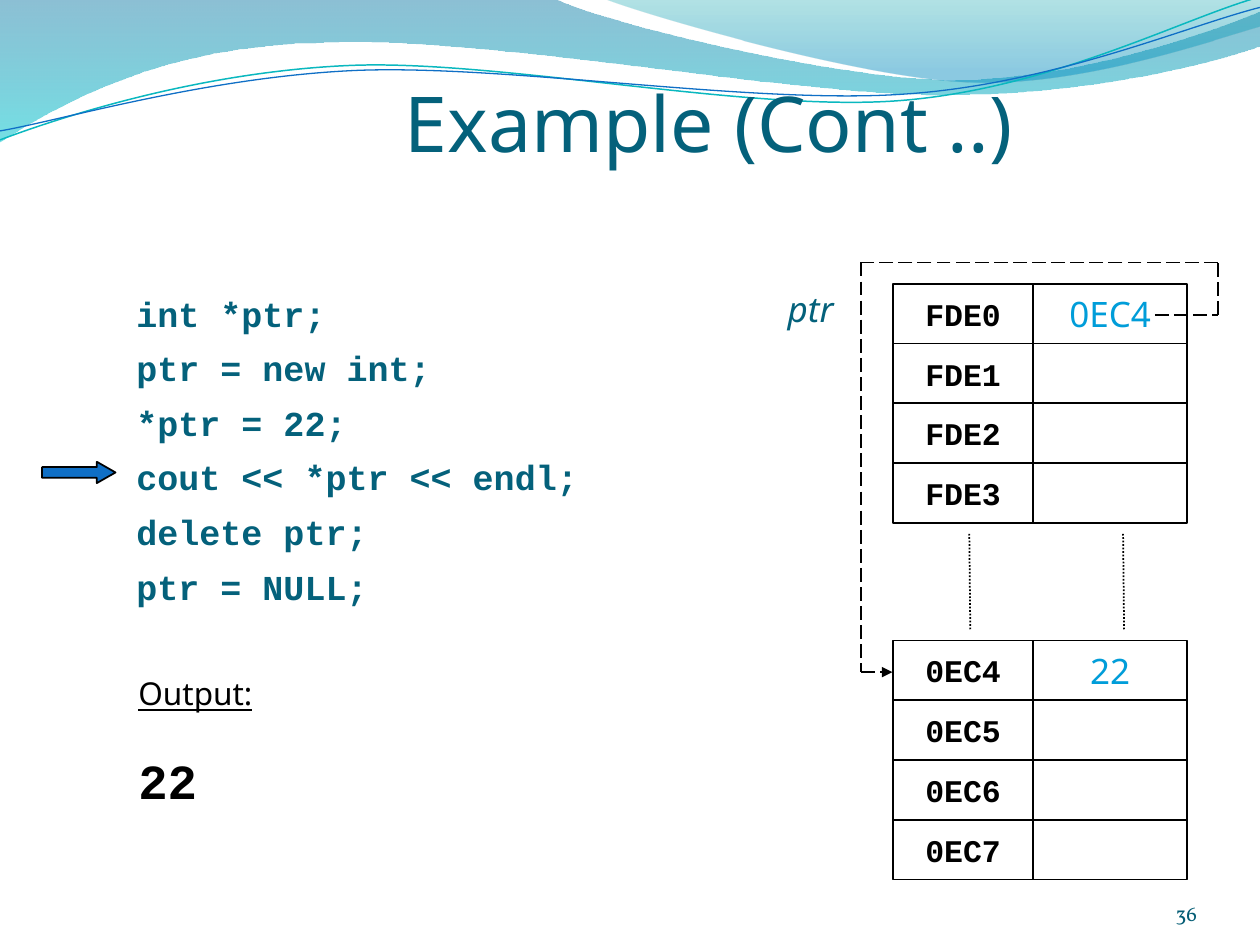
import math

import pptx
import pptx.dml.color
import pptx.enum.dml
import pptx.enum.shapes
import pptx.enum.text
import pptx.oxml
import pptx.oxml.ns
import pptx.util

Cm = pptx.util.Cm
Pt = pptx.util.Pt
RGBColor = pptx.dml.color.RGBColor
Shape = pptx.enum.shapes.MSO_SHAPE
Dash = pptx.enum.dml.MSO_LINE
Align = pptx.enum.text.PP_ALIGN
Anchor = pptx.enum.text.MSO_ANCHOR
NAMESPACE = pptx.oxml.ns.nsdecls("a")

BLACK = RGBColor(0x00, 0x00, 0x00)
WHITE = RGBColor(0xFF, 0xFF, 0xFF)
DEEP_TEAL = RGBColor(0x04, 0x61, 0x7B)
NUMBER_TEAL = RGBColor(0x04, 0x5D, 0x75)
SKY = RGBColor(0x00, 0x9D, 0xD9)
ARROW_BLUE = RGBColor(0x0F, 0x6F, 0xC6)
CURVE_TEAL = RGBColor(0x0A, 0xB8, 0xBF)
WAVE_BLUE = RGBColor(0x00, 0x74, 0xA1)
WAVE_CYAN = RGBColor(0x00, 0xC6, 0xCF)
CREST_TEAL = RGBColor(0x00, 0xA1, 0xA9)
CREST_BLUE = RGBColor(0x00, 0x8B, 0xBF)

TITLE = {"name": "Noto Sans", "size": Pt(44), "color": DEEP_TEAL}
CODE = {"name": "Courier New", "size": Pt(20), "bold": True, "color": DEEP_TEAL}
POINTER = {"name": "Noto Sans", "size": Pt(20), "italic": True, "color": DEEP_TEAL}
ADDRESS = {"name": "Courier New", "size": Pt(18), "bold": True, "color": BLACK}
VALUE = {"name": "Noto Sans", "size": Pt(20), "color": SKY}
HEADING = {"name": "Noto Sans", "size": Pt(18), "underline": True, "color": BLACK}
RESULT = {"name": "Courier New", "size": Pt(28), "bold": True, "color": BLACK}
NUMBER = {"name": "Vollkorn", "size": Pt(12), "color": NUMBER_TEAL}

CODE_LINES = ["int *ptr;", "ptr = new int;", "*ptr = 22;",
              "cout << *ptr << endl;", "delete ptr;", "ptr = NULL;"]
MEMORY_BLOCKS = [
    (5.72, [("FDE0", "0EC4"), ("FDE1", ""), ("FDE2", ""), ("FDE3", "")]),
    (12.91, [("0EC4", "22"), ("0EC5", ""), ("0EC6", ""), ("0EC7", "")]),
]
BLOCK_HEIGHT = 4.82
ADDRESS_LEFT, VALUE_LEFT, MEMORY_RIGHT = 18, 20.83, 23.93
POINTER_ROUTE = [(23.28, 6.35), (24.55, 6.35), (24.55, 5.29),
                 (17.36, 5.29), (17.36, 13.55), (17.99, 13.55)]

WAVE = [[(0, -0.03)], [(11.18, -0.03)],
        [(12.09, 0.43), (16.87, 1.6), (19.25, 1.6)],
        [(21.67, 1.6), (24.33, 0.66), (25.4, 0.23)],
        [(25.43, 0.91)],
        [(24.97, 1.12), (22.1, 1.93), (18.95, 1.91)],
        [(15.8, 1.91), (9.7, 0.71), (6.53, 0.86)],
        [(3.28, 0.89), (1.17, 2.11), (-0.03, 2.87)]]
CREST = [[(12.17, -0.03)],
         [(12.93, 0.28), (17.32, 1.57), (19.53, 1.65)],
         [(21.74, 1.75), (24.41, 0.81), (25.4, 0.53)],
         [(25.4, 0)]]
UPPER_CURVE = [[(0, 2.82)],
               [(1.22, 2.36), (4.01, 1.45), (7.04, 1.32)],
               [(10.03, 1.19), (15.06, 2.26), (18.11, 2.03)],
               [(21.16, 1.8), (23.83, 0.38), (25.35, -0.05)]]
LOWER_CURVE = [[(0, 2.64)],
               [(1.19, 2.44), (4.17, 1.55), (7.19, 1.42)],
               [(10.24, 1.3), (15.16, 2.11), (18.21, 1.9)],
               [(21.23, 1.7), (23.9, 0.53), (25.4, 0.15)]]
CURVE_TILT = 2.7


def apply_format(target, values):
    """Set each named attribute on the target."""
    for name, value in values.items():
        if name == "color":
            target.color.rgb = value
        else:
            setattr(target, name, value)


def write(paragraph, text, font, **layout):
    """Put one formatted run into a paragraph."""
    run = paragraph.add_run()
    run.text = text
    apply_format(run.font, font)
    apply_format(paragraph, layout)


def add_text(slide, box, frame_format):
    """Add a wrapping text box and return its frame."""
    frame = slide.shapes.add_textbox(*map(Cm, box)).text_frame
    apply_format(frame, {"word_wrap": True, **frame_format})
    return frame


def add_outline(slide, segments, closed):
    """Draw a freeform of straight and cubic segments."""
    points = [(Cm(x), Cm(y)) for segment in segments for x, y in segment]
    builder = slide.shapes.build_freeform(*points[0], scale=1.0)
    builder.add_line_segments(points[1:], close=closed)
    outline = builder.convert_to_shape()
    outline.shadow.inherit = False
    steps = iter(list(outline._element.iter(pptx.oxml.ns.qn("a:lnTo"))))
    for segment in segments[1:]:
        group = [next(steps) for _ in segment]
        if len(group) == 3:
            cubic = pptx.oxml.parse_xml(f"<a:cubicBezTo {NAMESPACE}/>")
            group[0].addprevious(cubic)
            for step in group:
                cubic.append(step[0])
                step.getparent().remove(step)
    return outline


def add_wave(slide, segments, stops):
    """Draw a filled wave with a translucent vertical gradient."""
    wave = add_outline(slide, segments, True)
    wave.line.fill.background()
    wave.fill.gradient()
    wave.fill.gradient_angle = 270
    for stop, (position, color, _) in zip(wave.fill.gradient_stops, stops):
        stop.position = position
        stop.color.rgb = color
    colors = wave._element.spPr.iter(pptx.oxml.ns.qn("a:srgbClr"))
    for element, (_, _, opacity) in zip(colors, stops):
        element.append(pptx.oxml.parse_xml(f'<a:alpha {NAMESPACE} val="{opacity * 1000}"/>'))


def turn(point, pivot, degrees):
    """Rotate a point clockwise around a pivot."""
    x, y = point[0] - pivot[0], point[1] - pivot[1]
    sine, cosine = math.sin(math.radians(degrees)), math.cos(math.radians(degrees))
    return pivot[0] + x * cosine - y * sine, pivot[1] + x * sine + y * cosine


def add_curve(slide, segments, pivot, color, width):
    """Draw an open curve as a tilted shape."""
    level = [[turn(point, pivot, CURVE_TILT) for point in segment] for segment in segments]
    curve = add_outline(slide, level, False)
    curve.rotation = 360 - CURVE_TILT
    curve.fill.background()
    apply_format(curve.line, {"color": color, "width": Pt(width)})


def add_block(slide, kind, box):
    """Add an unfilled preset shape with a black outline."""
    block = slide.shapes.add_shape(kind, *map(Cm, box))
    block.shadow.inherit = False
    block.fill.background()
    apply_format(block.line, {"color": BLACK, "width": Pt(1)})
    return block


def add_cell(slide, box, text, font):
    """Add one memory cell."""
    frame = add_block(slide, Shape.RECTANGLE, box).text_frame
    apply_format(frame, {"word_wrap": False, "vertical_anchor": Anchor.MIDDLE})
    if text:
        write(frame.paragraphs[0], text, font, alignment=Align.CENTER)


def add_line(slide, start, end, dash, arrow=False):
    """Add a dashed black connector, with an arrowhead if asked."""
    line = slide.shapes.add_connector(pptx.enum.shapes.MSO_CONNECTOR.STRAIGHT,
                                      *map(Cm, (*start, *end)))
    apply_format(line.line, {"color": BLACK, "width": Pt(1), "dash_style": dash})
    if arrow:
        line.line._get_or_add_ln().append(
            pptx.oxml.parse_xml(f'<a:tailEnd {NAMESPACE} type="triangle"/>'))
    line._element.spPr.append(pptx.oxml.parse_xml(f"<a:effectLst {NAMESPACE}/>"))


def add_title(slide, text):
    """Place and format the title in front of the waves."""
    title = slide.shapes.title
    slide.shapes._spTree.append(title._element)
    apply_format(title, dict(zip(("left", "top", "width", "height"),
                                 map(Cm, (5.08, 0.89, 18.42, 3.12)))))
    title.text_frame.vertical_anchor = Anchor.MIDDLE
    write(title.text_frame.paragraphs[0], text, TITLE, alignment=Align.CENTER)


def add_code(slide):
    """List the program and mark its current line."""
    frame = add_text(slide, (2.75, 5.51, 10.8, 7.42), {"margin_left": 0, "margin_right": 0})
    for index, statement in enumerate(CODE_LINES):
        paragraph = frame.add_paragraph() if index else frame.paragraphs[0]
        write(paragraph, statement, CODE, line_spacing=1.3,
              space_before=Pt(0 if index else 4))
        indent = paragraph._p.get_or_add_pPr()
        indent.set("marL", str(Cm(0.95)))
        indent.set("indent", str(-Cm(0.95)))
    marker = add_block(slide, Shape.RIGHT_ARROW, (0.85, 9.31, 1.48, 0.43))
    marker.adjustments[1] = 0.875
    marker.fill.solid()
    marker.fill.fore_color.rgb = ARROW_BLUE


def add_memory(slide):
    """Draw the memory blocks, the gap between them and the pointer."""
    for top, rows in MEMORY_BLOCKS:
        height = BLOCK_HEIGHT / len(rows)
        for index, (address, value) in enumerate(rows):
            y = top + index * height
            add_cell(slide, (VALUE_LEFT, y, MEMORY_RIGHT - VALUE_LEFT, height), value, VALUE)
            add_cell(slide, (ADDRESS_LEFT, y, VALUE_LEFT - ADDRESS_LEFT, height),
                     address, ADDRESS)
    for x in (19.54, 22.64):
        add_line(slide, (x, 10.76), (x + 0.02, 12.69), Dash.ROUND_DOT)
    for start, end in zip(POINTER_ROUTE, POINTER_ROUTE[1:]):
        add_line(slide, start, end, Dash.LONG_DASH, end == POINTER_ROUTE[-1])
    label = add_text(slide, (15.88, 5.67, 1.9, 1.09), {"margin_left": 0, "margin_right": 0})
    write(label.paragraphs[0], "ptr", POINTER)


def main():
    """Build and save the slide."""
    deck = pptx.Presentation()
    apply_format(deck, {"slide_width": Cm(25.4), "slide_height": Cm(19.05)})
    slide = deck.slides.add_slide(deck.slide_layouts[5])
    slide.background.fill.solid()
    slide.background.fill.fore_color.rgb = WHITE
    add_wave(slide, WAVE, [(0, WAVE_BLUE, 45), (1, WAVE_CYAN, 55)])
    add_wave(slide, CREST, [(0, CREST_TEAL, 30), (0.8, CREST_BLUE, 45)])
    add_curve(slide, UPPER_CURVE, (12.67, 1.46), CURVE_TEAL, 0.85)
    add_curve(slide, LOWER_CURVE, (12.69, 1.5), ARROW_BLUE, 0.75)
    add_title(slide, "Example (Cont ..)")
    add_code(slide)
    add_memory(slide)
    output = add_text(slide, (2.54, 13.62, 6.15, 3.1), {})
    write(output.paragraphs[0], "Output:", HEADING, line_spacing=0.8)
    write(output.add_paragraph(), "22", RESULT, line_spacing=0.8, space_before=Pt(28.5))
    margins = dict.fromkeys(("margin_left", "margin_top", "margin_right", "margin_bottom"), 0)
    number = add_text(slide, (22.02, 17.65, 2.11, 1.02),
                      {**margins, "vertical_anchor": Anchor.BOTTOM})
    write(number.paragraphs[0], "36", NUMBER, alignment=Align.RIGHT)
    deck.save("out.pptx")


main()
